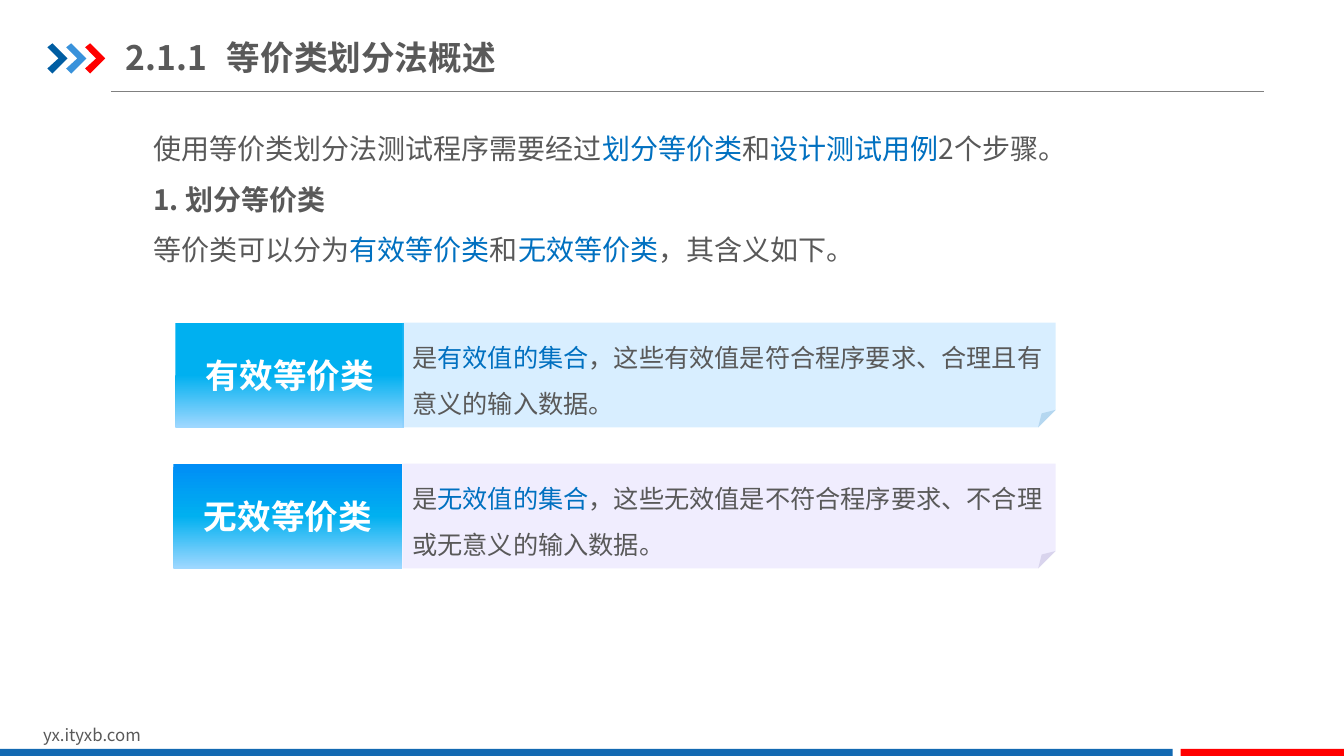
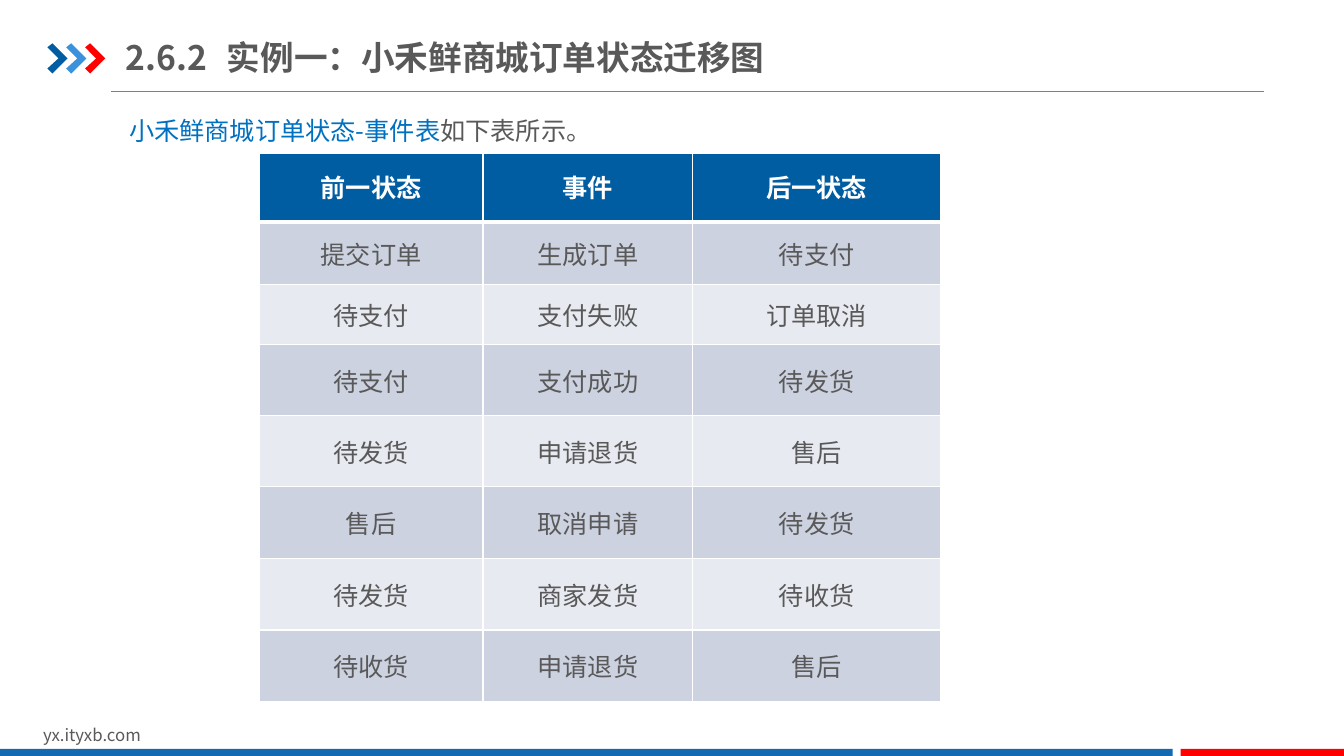
"""Build two course slides: equivalence classes and an order state table."""
from copy import deepcopy

from lxml.etree import SubElement
from pptx import Presentation
from pptx.dml.color import RGBColor
from pptx.enum.shapes import MSO_CONNECTOR as Connector, MSO_SHAPE as Shape
from pptx.enum.text import MSO_ANCHOR as Anchor, PP_ALIGN as Align
from pptx.oxml import parse_xml
from pptx.oxml.ns import nsdecls, qn
from pptx.util import Inches, Pt

FONT = "Noto Sans CJK SC"
WHITE = RGBColor(0xFF, 0xFF, 0xFF)
GRAY = RGBColor(0x59, 0x59, 0x59)
RULE = RGBColor(0x80, 0x80, 0x80)
ACCENT = RGBColor(0x00, 0x70, 0xC0)
NAVY = RGBColor(0x00, 0x5D, 0xA2)
BLUE = RGBColor(0x39, 0x92, 0xDB)
RED = RGBColor(0xFF, 0x00, 0x00)
BAND = RGBColor(0x13, 0x69, 0xB2)
CYAN = RGBColor(0x00, 0xB0, 0xF0)
AZURE = RGBColor(0x00, 0x8D, 0xF6)
PALE = RGBColor(0x9F, 0xD8, 0xFF)
SKY = RGBColor(0x74, 0xC4, 0xFF)
LILAC = RGBColor(0xD1, 0xC7, 0xFD)
ROW_FILLS = RGBColor(0xCC, 0xD2, 0xE0), RGBColor(0xE7, 0xEA, 0xF0)

WIDTH, HEIGHT = 13.33, 7.5
SITE = "yx.ityxb.com"
CHEVRON = [(0, 0.04), (0.05, 0), (0.2, 0.15), (0.05, 0.3), (0, 0.25), (0.11, 0.15)]
BODY_INSETS = (0.13, 0.07, 0.13, 0.07)

STEPS_TITLE = "2.1.1\t等价类划分法概述"
STEPS = [
    (["使用等价类划分法测试程序需要经过", "划分等价类", "和", "设计测试用例", "2个步骤。"], False),
    (["1. 划分等价类"], True),
    (["等价类可以分为", "有效等价类", "和", "无效等价类", "，其含义如下。"], False),
]
CLASSES = [
    ("有效等价类", 1.74, CYAN, SKY, 28,
     ["是", "有效值的集合", "，这些有效值是符合程序要求、合理且有意义的输入数据。"]),
    ("无效等价类", 1.72, AZURE, LILAC, 31,
     ["是", "无效值的集合", "，这些无效值是不符合程序要求、不合理或无意义的输入数据。"]),
]
CLASS_TOP, CLASS_STEP, CLASS_HEIGHT = 3.2, 1.4, 1.04

STATES_TITLE = "2.6.2\t实例一：小禾鲜商城订单状态迁移图"
STATES_INTRO = [(["", "小禾鲜商城订单状态-事件表", "如下表所示。"], False)]
STATES = [
    ("前一状态", "事件", "后一状态"),
    ("提交订单", "生成订单", "待支付"),
    ("待支付", "支付失败", "订单取消"),
    ("待支付", "支付成功", "待发货"),
    ("待发货", "申请退货", "售后"),
    ("售后", "取消申请", "待发货"),
    ("待发货", "商家发货", "待收货"),
    ("待收货", "申请退货", "售后"),
]
COLUMN_WIDTHS = [2.22, 2.08, 2.46]
ROW_HEIGHTS = [0.68, 0.62, 0.6, 0.7] + [0.71] * 4


def inches(*lengths):
    return [Inches(length) for length in lengths]


def add_span(para, text, size, color=GRAY, bold=False):
    span = para.add_run()
    span.text = text
    span.font.color.rgb = color
    for name, value in {"size": Pt(size), "bold": bold, "name": FONT}.items():
        setattr(span.font, name, value)
    SubElement(span.font._element, qn("a:ea"), typeface=FONT)


def add_paras(frame, paras, size, **formats):
    """Write paragraphs whose every second part is highlighted."""
    for index, (parts, bold) in enumerate(paras):
        para = frame.add_paragraph() if index else frame.paragraphs[0]
        for name, value in formats.items():
            setattr(para, name, value)
        for position, text in enumerate(parts):
            if text:
                add_span(para, text, size, ACCENT if position % 2 else GRAY, bold)


def set_frame(frame, anchor=Anchor.TOP, insets=(0.1, 0.05, 0.1, 0.05)):
    frame.word_wrap = True
    frame.vertical_anchor = anchor
    sides = ("margin_left", "margin_top", "margin_right", "margin_bottom")
    for side, inset in zip(sides, insets):
        setattr(frame, side, Inches(inset))
    return frame


def add_text(page, place, **formats):
    return set_frame(page.shapes.add_textbox(*inches(*place)).text_frame, **formats)


def paint(shape, color=None):
    shape.shadow.inherit = False
    shape.line.fill.background()
    if color is not None:
        shape.fill.solid()
        shape.fill.fore_color.rgb = color
    return shape


def add_box(page, kind, place, color=None):
    return paint(page.shapes.add_shape(kind, *inches(*place)), color)


def add_page(deck, title):
    page = deck.slides.add_slide(deck.slide_layouts[6])
    rule = page.shapes.add_connector(Connector.STRAIGHT, *inches(1.1, 0.91, 12.54, 0.91))
    rule.line.color.rgb = RULE
    rule.line.width = Pt(0.75)
    SubElement(rule._element.spPr, qn("a:effectLst"))
    for index, color in enumerate((NAVY, BLUE, RED)):
        left = 0.47 + 0.187 * index
        points = [inches(left + x, 0.43 + y) for x, y in CHEVRON]
        builder = page.shapes.build_freeform(*points[0])
        builder.add_line_segments(points[1:], close=True)
        paint(builder.convert_to_shape(), color)
    site = add_text(page, (0.33, 7.14, 3.18, 0.3))
    add_span(site.paragraphs[0], SITE, 12)
    for left, right, color in ((0, 11.63, BAND), (11.71, WIDTH, RED)):
        add_box(page, Shape.RECTANGLE, (left, 7.43, right - left, HEIGHT - 7.43), color)
    heading = add_text(page, (1.25, 0.29, 11.2, 0.55), anchor=Anchor.MIDDLE,
                       insets=(0, 0.07, 0, 0.07))
    add_span(heading.paragraphs[0], title, 24, bold=True)
    return page


def add_label(page, text, place, top_color):
    label = add_box(page, Shape.RECTANGLE, place)
    label.fill.gradient()
    label.fill.gradient_angle = 270
    first = label.fill.gradient_stops[0]._gs
    first.addnext(deepcopy(first))
    stops = ((0, top_color), (0.5, CYAN), (1, PALE))
    for stop, (position, color) in zip(label.fill.gradient_stops, stops):
        stop.position = position
        stop.color.rgb = color
    para = set_frame(label.text_frame, anchor=Anchor.MIDDLE).paragraphs[0]
    para.alignment = Align.CENTER
    add_span(para, text, 24, WHITE, True)


def add_panel(page, parts, place, color, opacity):
    panel = add_box(page, Shape.FOLDED_CORNER, place, color)
    tint = panel._element.spPr.find(qn("a:solidFill"))[0]
    SubElement(tint, qn("a:alpha"), val=str(opacity * 1000))
    add_paras(set_frame(panel.text_frame), [(parts, False)], 18,
              alignment=Align.LEFT, line_spacing=1.5)


def set_borders(cell, widths):
    properties = cell._tc.get_or_add_tcPr()
    for index, (side, width) in enumerate(zip("LRTB", widths)):
        properties.insert(index, parse_xml(
            f'<a:ln{side} {nsdecls("a")} w="{Pt(width)}"><a:solidFill>'
            f'<a:srgbClr val="{WHITE}"/></a:solidFill></a:ln{side}>'))


def add_states(page):
    place = (2.57, 1.52, sum(COLUMN_WIDTHS), sum(ROW_HEIGHTS))
    table = page.shapes.add_table(len(STATES), len(COLUMN_WIDTHS), *inches(*place)).table
    for column, width in zip(table.columns, COLUMN_WIDTHS):
        column.width = Inches(width)
    for index, (row, height, texts) in enumerate(zip(table.rows, ROW_HEIGHTS, STATES)):
        row.height = Inches(height)
        header = index == 0
        for cell, text in zip(row.cells, texts):
            cell.fill.solid()
            cell.fill.fore_color.rgb = NAVY if header else ROW_FILLS[(index - 1) % 2]
            cell.vertical_anchor = Anchor.MIDDLE
            set_borders(cell, (1, 1, 3 if index == 1 else 1, 3 if header else 1))
            para = cell.text_frame.paragraphs[0]
            para.alignment = Align.CENTER
            para.line_spacing = 0.9 if header else 1.0
            add_span(para, text, 18, WHITE if header else GRAY, header)


def main():
    deck = Presentation()
    deck.slide_width, deck.slide_height = inches(WIDTH, HEIGHT)

    page = add_page(deck, STEPS_TITLE)
    add_paras(add_text(page, (1.39, 1.07, 10.57, 1.65), insets=BODY_INSETS), STEPS, 20,
              alignment=Align.JUSTIFY, line_spacing=1.5)
    for index, (name, left, top_color, tint, opacity, parts) in enumerate(CLASSES):
        top = CLASS_TOP + CLASS_STEP * index
        add_label(page, name, (left, top, 2.27, CLASS_HEIGHT), top_color)
        add_panel(page, parts, (3.99, top, 6.48, CLASS_HEIGHT), tint, opacity)

    page = add_page(deck, STATES_TITLE)
    add_paras(add_text(page, (1.15, 0.92, 11.22, 0.59), insets=BODY_INSETS), STATES_INTRO, 18,
              alignment=Align.JUSTIFY, line_spacing=1.5)
    add_states(page)

    deck.save("out.pptx")


if __name__ == "__main__":
    main()
